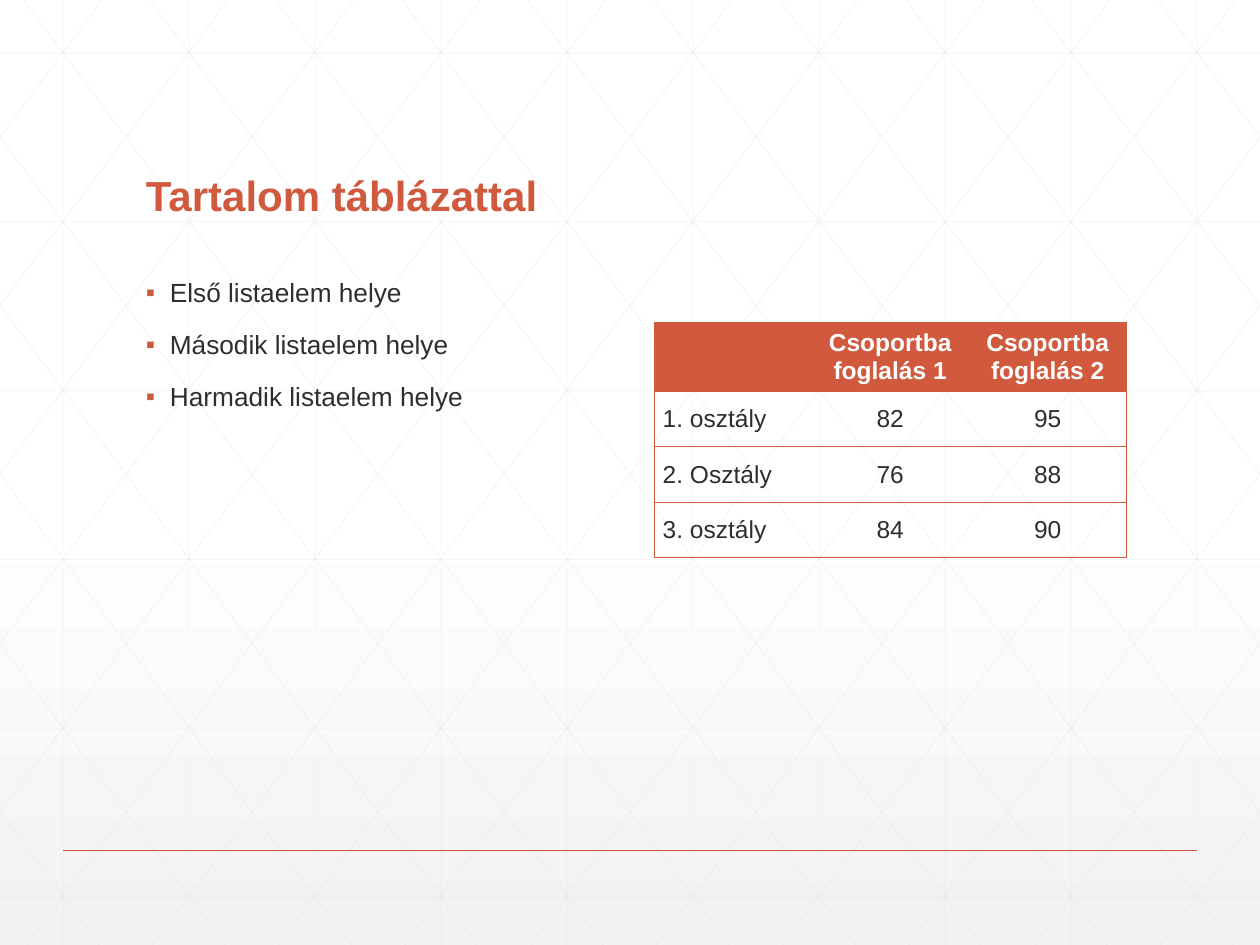
"""Builds a slide with a bulleted list beside a small table of results."""
from lxml import etree
from pptx import Presentation
from pptx import util as u
from pptx.dml.color import RGBColor
from pptx.enum import shapes, text
from pptx.oxml import ns

COLORS = {"accent": "D15A3E", "text": "2D2E2D", "white": "FFFFFF",
          "shade": "F2F2F2", "grid": "D9D9D9"}
FONT = "Arial"
WIDTH, HEIGHT = 10, 7.5
SLOPE = 1.34
NO_STYLE = "{2D5ABB26-0587-4C30-8999-92F81FD0307C}"
ITEMS = ["Első listaelem helye", "Második listaelem helye", "Harmadik listaelem helye"]
ROWS = [
    ["", "Csoportba foglalás 1", "Csoportba foglalás 2"],
    ["1. osztály", "82", "95"],
    ["2. Osztály", "76", "88"],
    ["3. osztály", "84", "90"],
]


def rgb(name):
    return RGBColor.from_string(COLORS[name])


def add_child(parent, tag, **attributes):
    return etree.SubElement(parent, ns.qn(tag), attributes)


def style_font(paragraph, size, color, bold=False):
    font = paragraph.font
    font.name, font.size, font.bold = FONT, u.Pt(size), bold
    font.color.rgb = rgb(color)


def set_background(slide):
    fill = slide.background.fill
    fill.gradient()
    fill.gradient_angle = 270
    for stop, position, color in zip(fill.gradient_stops, (0.53, 1), ("white", "shade")):
        stop.position = position
        stop.color.rgb = rgb(color)


def add_line(container, start, end, color, width, opacity=None):
    points = [u.Inches(value) for value in (*start, *end)]
    line = container.add_connector(shapes.MSO_CONNECTOR.STRAIGHT, *points)
    line.line.color.rgb = rgb(color)
    line.line.width = u.Pt(width)
    properties = line._element.spPr
    if opacity:
        add_child(next(properties.iter(ns.qn("a:srgbClr"))), "a:alpha", val=str(opacity * 1000))
    add_child(properties, "a:effectLst")


def add_grid(slide):
    """Draws the vertical, horizontal and mirrored diagonal lines, cut at the slide edges."""
    lines = [((i + 0.5, 0), (i + 0.5, HEIGHT)) for i in range(10)]
    lines += [((0, 0.42 + SLOPE * i), (WIDTH, 0.42 + SLOPE * i)) for i in range(6)]
    for i in range(-5, 10):
        offset = i + 0.19
        left, right = max(offset, 0), min(offset + HEIGHT / SLOPE, WIDTH)
        top, bottom = (left - offset) * SLOPE, (right - offset) * SLOPE
        lines.append(((left, top), (right, bottom)))
        lines.append(((WIDTH - left, top), (WIDTH - right, bottom)))
    group = slide.shapes.add_group_shape()
    for start, end in lines:
        add_line(group.shapes, start, end, "grid", 0.5, 25)


def add_text_box(slide, left, top, width, height):
    shape = slide.shapes.add_textbox(*map(u.Inches, (left, top, width, height)))
    shape.text_frame.word_wrap = True
    return shape.text_frame


def add_title(slide, title):
    frame = add_text_box(slide, 1.06, 0.55, 7.88, 1.25)
    frame.vertical_anchor = text.MSO_ANCHOR.BOTTOM
    paragraph = frame.paragraphs[0]
    paragraph.text = title
    paragraph.line_spacing = 0.9
    style_font(paragraph, 24, "accent", True)


def add_bullets(slide, items):
    frame = add_text_box(slide, 1.06, 2.17, 3.75, 4.17)
    frame.text = "\n".join(items)
    indent = u.Inches(0.19)
    for paragraph in frame.paragraphs:
        paragraph.line_spacing = 0.9
        paragraph.space_before = u.Pt(13.5)
        properties = paragraph._p.get_or_add_pPr()
        properties.set("marL", str(indent))
        properties.set("indent", str(-indent))
        add_child(add_child(properties, "a:buClr"), "a:srgbClr", val=COLORS["accent"])
        add_child(properties, "a:buFont", typeface=FONT)
        add_child(properties, "a:buChar", char="▪")
        style_font(paragraph, 15, "text")


def set_borders(cell, sides):
    properties = cell._tc.get_or_add_tcPr()
    for side in sides:
        line = add_child(properties, f"a:ln{side}", w=str(u.Pt(0.5)))
        add_child(add_child(line, "a:solidFill"), "a:srgbClr", val=COLORS["accent"])


def fill_cell(cell, value, row, column):
    header = row == 0
    cell.margin_left = cell.margin_right = u.Inches(0.07)
    cell.margin_top = cell.margin_bottom = u.Inches(0.04)
    cell.vertical_anchor = text.MSO_ANCHOR.MIDDLE
    set_borders(cell, {0: "LTB", 1: "TB", 2: "RTB"}[column])
    if header:
        cell.fill.solid()
        cell.fill.fore_color.rgb = rgb("accent")
    else:
        cell.fill.background()
    paragraph = cell.text_frame.paragraphs[0]
    paragraph.text = value
    if column:
        paragraph.alignment = text.PP_ALIGN.CENTER
    style_font(paragraph, 14, "white" if header else "text", header)


def add_results_table(slide, rows):
    frame = slide.shapes.add_table(len(rows), len(rows[0]), *map(u.Inches, (5.19, 2.56, 3.75, 1.85)))
    table = frame.table
    table.horz_banding = False
    table._tbl.tblPr.find(ns.qn("a:tableStyleId")).text = NO_STYLE
    for row, values in enumerate(rows):
        table.rows[row].height = u.Inches(0.44 if row else 0.53)
        for column, value in enumerate(values):
            fill_cell(table.cell(row, column), value, row, column)


def main():
    presentation = Presentation()
    presentation.slide_width = u.Inches(WIDTH)
    presentation.slide_height = u.Inches(HEIGHT)
    slide = presentation.slides.add_slide(presentation.slide_layouts[6])
    set_background(slide)
    add_grid(slide)
    add_line(slide.shapes, (0.5, 6.75), (9.5, 6.75), "accent", 1)
    add_title(slide, "Tartalom táblázattal")
    add_bullets(slide, ITEMS)
    add_results_table(slide, ROWS)
    presentation.save("out.pptx")


if __name__ == "__main__":
    main()
